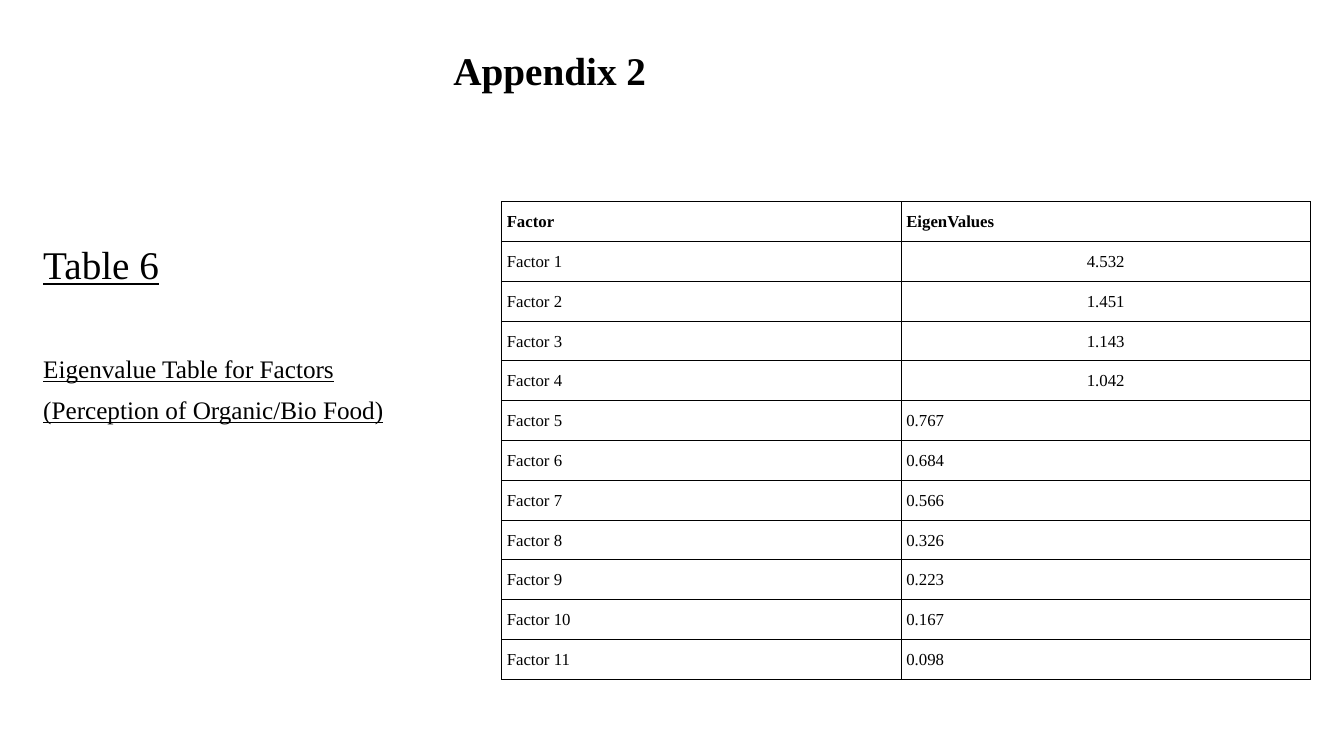
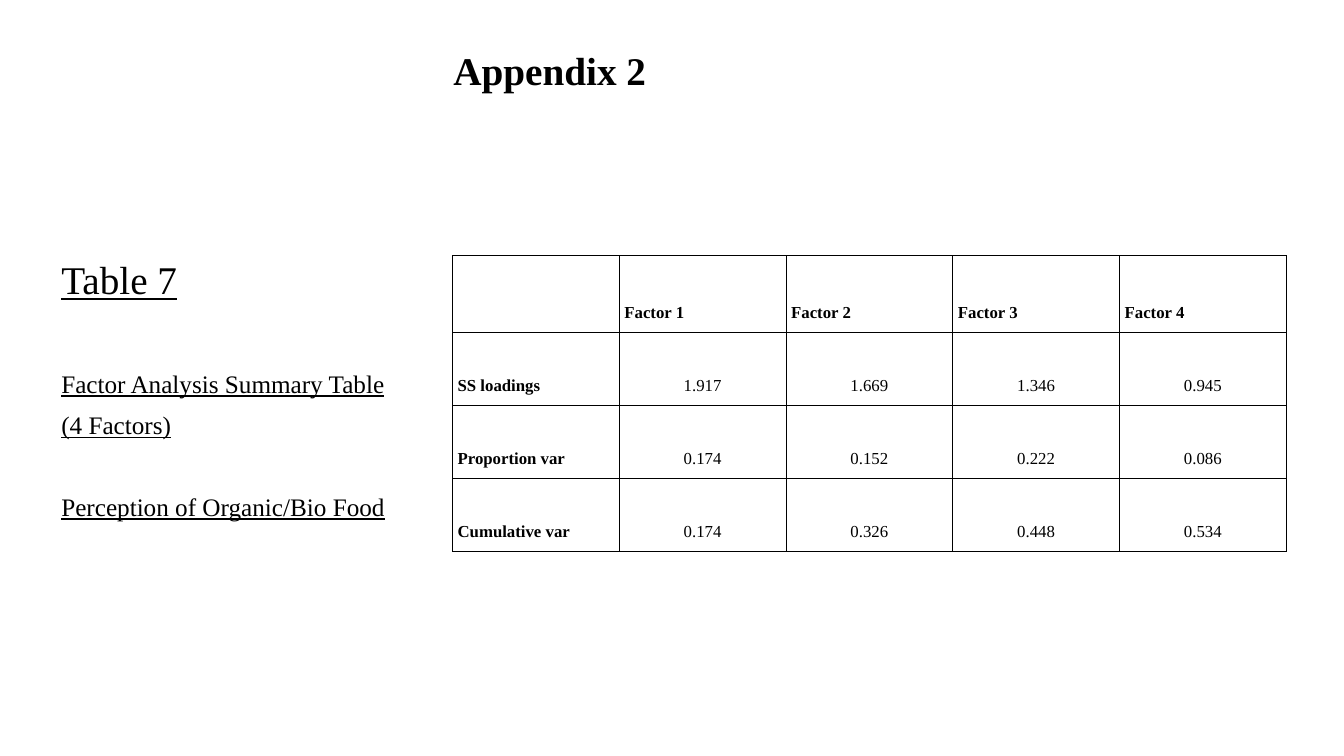
"""Build the two appendix slides with factor analysis tables."""
from dataclasses import dataclass

from lxml import etree
from pptx import Presentation
from pptx.dml.color import RGBColor
from pptx.enum.text import MSO_ANCHOR, PP_ALIGN
from pptx.oxml.ns import qn
from pptx.slide import Slide
from pptx.util import Pt

LEFT, CENTER = PP_ALIGN.LEFT, PP_ALIGN.CENTER
TOP, MIDDLE, BOTTOM = MSO_ANCHOR.TOP, MSO_ANCHOR.MIDDLE, MSO_ANCHOR.BOTTOM
FONT = "Times New Roman"
BLACK = "000000"
EDGES = ("a:lnL", "a:lnR", "a:lnT", "a:lnB")
BORDER = 0.75


@dataclass
class Box:
    left: float
    top: float
    width: float
    height: float


@dataclass
class Line:
    text: str
    size: float = 18
    before: float = 10
    bold: bool = False
    under: bool = True


@dataclass
class Grid:
    left: float
    top: float
    cols: list[float]
    rows: list[float]
    cells: list[tuple[str, ...]]
    centred: int
    labels: bool = False


@dataclass
class Page:
    body: Box
    lines: list[Line]
    grid: Grid


TITLE = Line("Appendix 2", 28, 0, bold=True, under=False)
TITLE_BOX = Box(316.8, 12.2, 640, 79.2)
VALUES = ("4.532", "1.451", "1.143", "1.042", "0.767", "0.684",
          "0.566", "0.326", "0.223", "0.167", "0.098")

PAGES = [
    Page(
        Box(23.8, 172.1, 330, 342.7),
        [Line("Table 6", 28),
         Line("Eigenvalue Table for Factors", before=49),
         Line("(Perception of Organic/Bio Food)")],
        Grid(358.3, 144, [285.4, 292.3], [28.45] * 12,
             [("Factor", "EigenValues")]
             + [(f"Factor {n}", value) for n, value in enumerate(VALUES, 1)],
             centred=4),
    ),
    Page(
        Box(36.7, 182.5, 284, 342.7),
        [Line("Table 7", 28),
         Line("Factor Analysis Summary Table", before=49),
         Line("(4 Factors)"),
         Line("Perception of Organic/Bio Food", before=39)],
        Grid(323.2, 182.5, [119.14] * 5, [54.9] + [52.2] * 3,
             [("", "Factor 1", "Factor 2", "Factor 3", "Factor 4"),
              ("SS loadings", "1.917", "1.669", "1.346", "0.945"),
              ("Proportion var", "0.174", "0.152", "0.222", "0.086"),
              ("Cumulative var", "0.174", "0.326", "0.448", "0.534")],
             centred=3, labels=True),
    ),
]


def style(para, size: float, bold: bool, under: bool = False) -> None:
    """Format every run of a paragraph."""
    for run in para.runs:
        font = run.font
        font.name, font.size = FONT, Pt(size)
        font.bold, font.underline = bold, under
        font.color.rgb = RGBColor.from_string(BLACK)


def add_text(slide: Slide, box: Box, lines: list[Line], anchor) -> None:
    """Add a wrapped text box with one paragraph per line."""
    shape = slide.shapes.add_textbox(
        Pt(box.left), Pt(box.top), Pt(box.width), Pt(box.height))
    frame = shape.text_frame
    frame.word_wrap = True
    frame.vertical_anchor = anchor
    frame.text = "\n".join(line.text for line in lines)
    for para, line in zip(frame.paragraphs, lines):
        para.alignment = LEFT
        para.line_spacing = 0.9
        para.space_before = Pt(line.before)
        style(para, line.size, line.bold, line.under)


def add_edges(cell) -> None:
    """Draw a thin solid border on all sides of a cell."""
    props = cell._tc.get_or_add_tcPr()
    for edge in EDGES:
        line = etree.SubElement(props, qn(edge), w=str(Pt(BORDER)))
        fill = etree.SubElement(line, qn("a:solidFill"))
        etree.SubElement(fill, qn("a:srgbClr"), val=BLACK)


def fill_cell(cell, text: str, bold: bool, centred: bool) -> None:
    """Write and format one table cell."""
    add_edges(cell)
    cell.fill.background()
    cell.vertical_anchor = BOTTOM
    cell.margin_left = Pt(0.7 if centred else 3.7)
    cell.margin_right = cell.margin_top = Pt(0.7)
    cell.margin_bottom = Pt(7.2)
    cell.text_frame.text = text
    para = cell.text_frame.paragraphs[0]
    para.alignment = CENTER if centred else LEFT
    if centred:
        para.line_spacing = 1.15
    style(para, 12, bold)


def add_grid(slide: Slide, grid: Grid) -> None:
    """Add a plain bordered table."""
    table = slide.shapes.add_table(
        len(grid.rows), len(grid.cols), Pt(grid.left), Pt(grid.top),
        Pt(sum(grid.cols)), Pt(sum(grid.rows))).table
    table.first_row = table.horz_banding = False
    for col, width in zip(table.columns, grid.cols):
        col.width = Pt(width)
    for row, height in zip(table.rows, grid.rows):
        row.height = Pt(height)
    for r, texts in enumerate(grid.cells):
        for c, text in enumerate(texts):
            bold = r == 0 or (grid.labels and c == 0)
            centred = c > 0 and 1 <= r <= grid.centred
            fill_cell(table.cell(r, c), text, bold, centred)


def main() -> None:
    """Build and save the deck."""
    deck = Presentation()
    deck.slide_width, deck.slide_height = Pt(960), Pt(540)
    for page in PAGES:
        slide = deck.slides.add_slide(deck.slide_layouts[6])
        add_text(slide, TITLE_BOX, [TITLE], MIDDLE)
        add_text(slide, page.body, page.lines, TOP)
        add_grid(slide, page.grid)
    deck.save("out.pptx")


if __name__ == "__main__":
    main()
